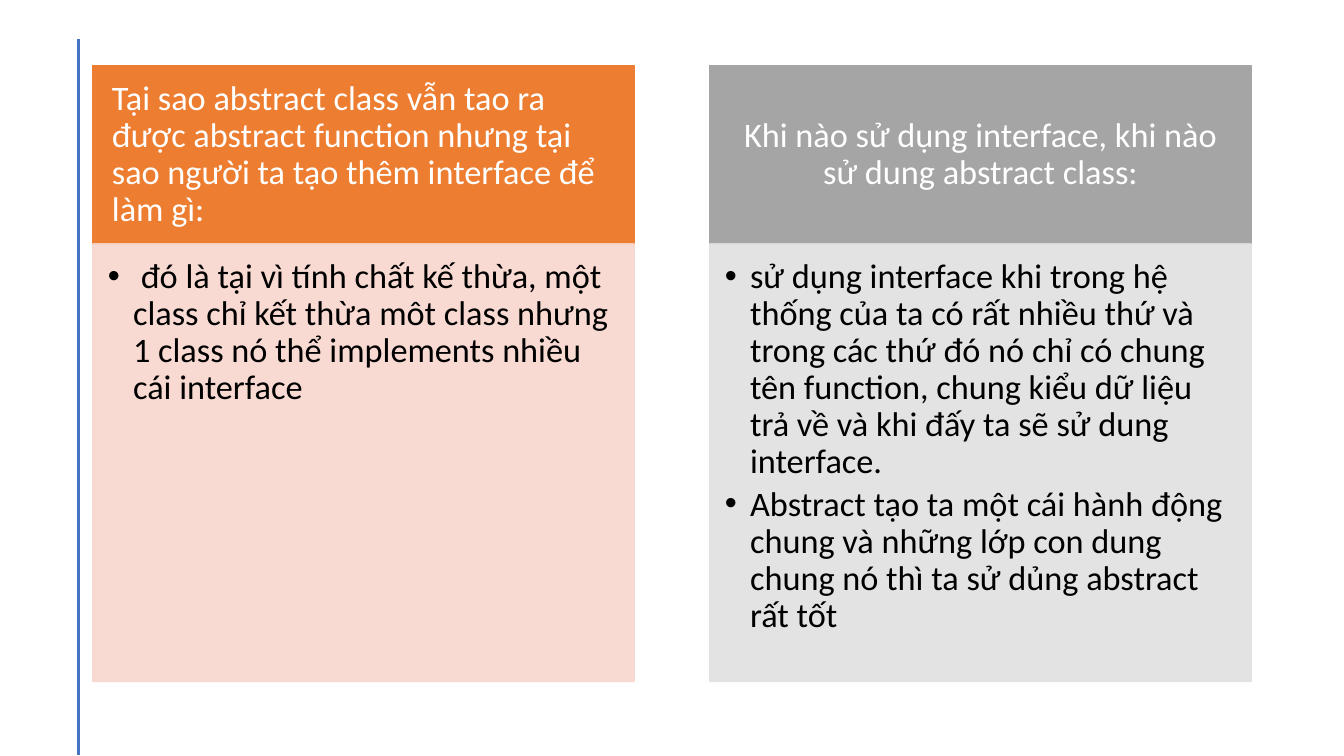
import pptx
import pptx.util
import pptx.dml.color
import pptx.enum.shapes
import pptx.enum.text
import pptx.oxml
import pptx.oxml.ns
from pptx.util import Inches

ALIGN = pptx.enum.text.PP_ALIGN
ANCHOR = pptx.enum.text.MSO_ANCHOR

# Content
COLUMNS = [
    {
        "heading": "Tại sao abstract class vẫn tao ra được abstract function nhưng tại sao "
                   "người ta tạo thêm interface để làm gì:",
        "align": ALIGN.LEFT,
        "points": [
            " đó là tại vì tính chất kế thừa, một class chỉ kết thừa môt class nhưng "
            "1 class nó thể implements nhiều cái interface",
        ],
    },
    {
        "heading": "Khi nào sử dụng interface, khi nào sử dung abstract class:",
        "align": ALIGN.CENTER,
        "points": [
            "sử dụng interface khi trong hệ thống của ta có rất nhiều thứ và trong các thứ "
            "đó nó chỉ có chung tên function, chung kiểu dữ liệu trả về và khi đấy ta sẽ "
            "sử dung interface.",
            "Abstract tạo ta một cái hành động chung và những lớp con dung chung nó thì "
            "ta sử dủng abstract rất tốt",
        ],
    },
]

THEME = {
    "font": "Calibri", "size": 24.5, "line_spacing": 0.9, "point_gap": 3.75,
    "rule": "4472C4", "heading_text": "FFFFFF", "body_text": "000000",
    "columns": [("ED7D31", "F8D7CE"), ("A5A5A5", "E1E1E1")],
    "body_opacity": 90,
}

# Layout, in inches
LEFT, TOP, WIDTH, PITCH = 0.92, 0.65, 5.37, 6.12
HEADING_HEIGHT, BODY_HEIGHT = 1.77, 4.34
HEADING_INSETS = (0.19, 0.11, 0.19, 0.11)
BODY_INSETS = (0.15, 0.15, 0.19, 0.22)
INDENT = 0.25


def rgb(code):
    return pptx.dml.color.RGBColor.from_string(code)


def add_xml(parent, tag, **attributes):
    child = pptx.oxml.parse_xml(f"<a:{tag} {pptx.oxml.ns.nsdecls('a')}/>")
    for name, value in attributes.items():
        child.set(name, str(value))
    parent.append(child)


def add_panel(page, left, top, height, color, opacity=100):
    box = page.shapes.add_shape(pptx.enum.shapes.MSO_SHAPE.RECTANGLE, Inches(left),
                                Inches(top), Inches(WIDTH), Inches(height))
    box.shadow.inherit = False
    box.fill.solid()
    box.fill.fore_color.rgb = rgb(color)
    box.line.color.rgb = rgb(color)
    box.line.width = pptx.util.Pt(1)
    if opacity < 100:
        for node in box._element.spPr.iter(pptx.oxml.ns.qn("a:srgbClr")):
            add_xml(node, "alpha", val=opacity * 1000)
    return box


def write(box, lines, color, insets, anchor, align):
    frame = box.text_frame
    frame.word_wrap = True
    frame.vertical_anchor = anchor
    (frame.margin_left, frame.margin_top,
     frame.margin_right, frame.margin_bottom) = map(Inches, insets)
    frame.text = "\n".join(lines)
    for para in frame.paragraphs:
        para.alignment = align
        para.line_spacing = THEME["line_spacing"]
        for span in para.runs:
            span.font.name = THEME["font"]
            span.font.size = pptx.util.Pt(THEME["size"])
            span.font.color.rgb = rgb(color)
    return frame.paragraphs


def add_bullet(para):
    para.space_after = pptx.util.Pt(THEME["point_gap"])
    properties = para._p.get_or_add_pPr()
    properties.set("marL", str(Inches(INDENT)))
    properties.set("indent", str(-Inches(INDENT)))
    add_xml(properties, "buFont", typeface="Arial")
    add_xml(properties, "buChar", char="•")


def main():
    deck = pptx.Presentation()
    deck.slide_width, deck.slide_height = Inches(13.33), Inches(7.5)
    page = deck.slides.add_slide(deck.slide_layouts[6])

    # Vertical rule at the left
    rule = page.shapes.add_connector(pptx.enum.shapes.MSO_CONNECTOR.STRAIGHT, Inches(0.78),
                                     Inches(0.39), Inches(0.78), Inches(7.49))
    rule.line.color.rgb = rgb(THEME["rule"])
    rule.line.width = pptx.util.Pt(2)
    add_xml(rule._element.spPr, "effectLst")

    # One heading and one body panel per column
    for index, (column, colors) in enumerate(zip(COLUMNS, THEME["columns"])):
        left = LEFT + index * PITCH
        heading = add_panel(page, left, TOP, HEADING_HEIGHT, colors[0])
        write(heading, [column["heading"]], THEME["heading_text"], HEADING_INSETS,
              ANCHOR.MIDDLE, column["align"])
        body = add_panel(page, left, TOP + HEADING_HEIGHT, BODY_HEIGHT, colors[1],
                         THEME["body_opacity"])
        for para in write(body, column["points"], THEME["body_text"], BODY_INSETS,
                          ANCHOR.TOP, ALIGN.LEFT):
            add_bullet(para)

    deck.save("out.pptx")


if __name__ == "__main__":
    main()
